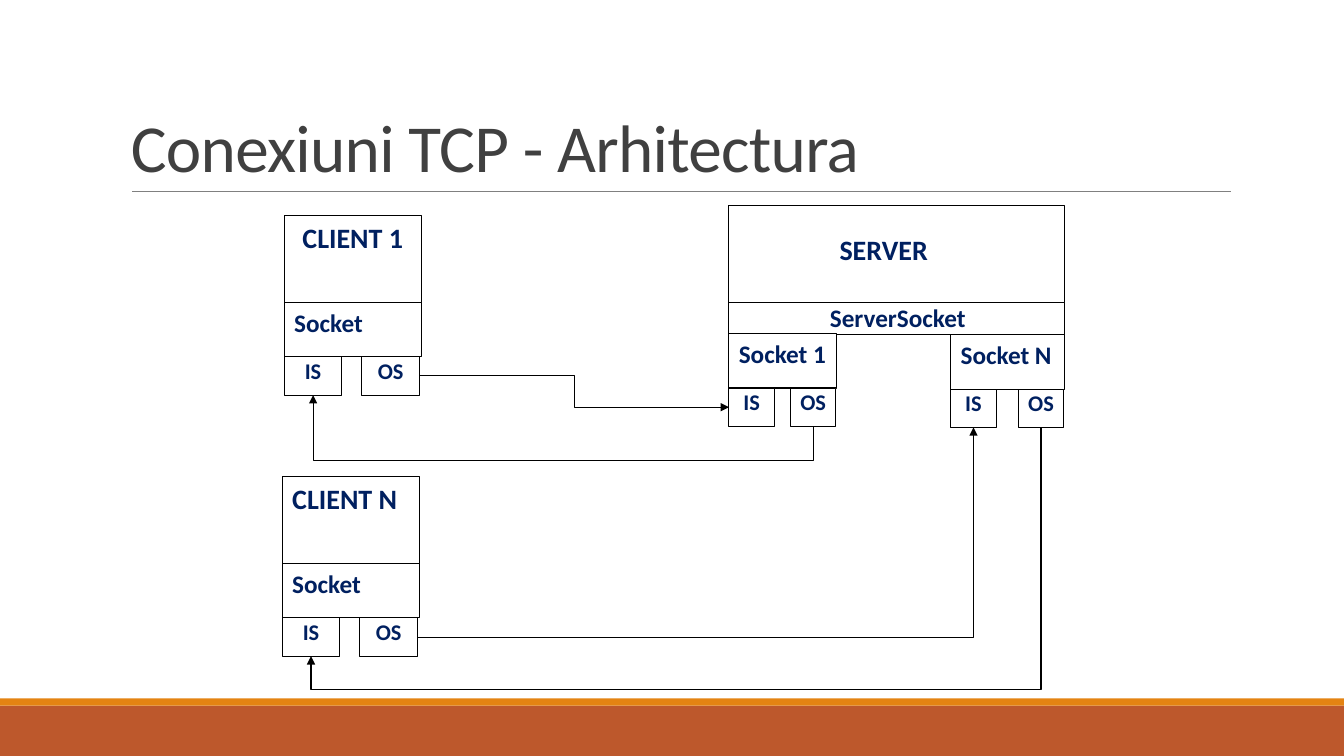
from dataclasses import dataclass

from lxml import etree
from pptx import Presentation
from pptx.dml.color import RGBColor
from pptx.enum.shapes import MSO_CONNECTOR, MSO_SHAPE
from pptx.enum.text import MSO_ANCHOR, PP_ALIGN
from pptx.oxml.ns import qn
from pptx.shapes.autoshape import Shape
from pptx.shapes.connector import Connector
from pptx.slide import Slide
from pptx.util import Inches, Pt

RECTANGLE = MSO_SHAPE.RECTANGLE
STRAIGHT, ELBOW = MSO_CONNECTOR.STRAIGHT, MSO_CONNECTOR.ELBOW
LEFT, CENTER = PP_ALIGN.LEFT, PP_ALIGN.CENTER
TOP, BOTTOM = MSO_ANCHOR.TOP, MSO_ANCHOR.BOTTOM
LEFT_SIDE, BOTTOM_SIDE, RIGHT_SIDE = 1, 2, 3

COLORS = {
    "white": "FFFFFF", "black": "000000", "navy": "002060", "title": "404040",
    "rule": "808080", "rust": "BD582C", "orange": "E48312",
}
FONT = "Calibri"
PORT_HEIGHT = 0.38
SOCKET_HEIGHT = 0.54
ROOMY = (0.1, 0.05, 0.1, 0.05)
LOOSE_RIGHT = (0.1, 0.05, 0, 0.05)
TIGHT = (0, 0, 0, 0)


@dataclass(frozen=True)
class Box:
    left: float
    top: float
    width: float
    height: float
    text: str = ""
    size: int = 18
    align: PP_ALIGN = CENTER
    insets: tuple[float, float, float, float] = ROOMY
    fill: str = "white"
    line: str | None = "black"


@dataclass(frozen=True)
class Socket:
    """A socket box with its input (IS) and output (OS) stream ports below."""
    name: str
    label: str
    left: float
    top: float
    width: float
    port_width: float
    output_offset: float


@dataclass(frozen=True)
class Link:
    source: str
    source_side: int
    target: str
    target_side: int
    bend_y: float | None = None


FOOTER = [
    Box(0, 7, 13.33, 0.5, fill="rust", line=None),
    Box(0, 6.93, 13.33, 0.07, fill="orange", line=None),
]
HOSTS = [
    Box(7.23, 2.04, 3.33, 0.96),
    Box(7.23, 3, 3.33, 0.32, "ServerSocket", insets=(0.02, 0, 0, 0)),
    Box(7.79, 2.26, 1.95, 0.38, "SERVER", 20, line="white"),
    Box(2.82, 2.14, 1.36, 0.86, "CLIENT 1", 20),
    Box(2.8, 4.73, 1.36, 0.86, "CLIENT N", 20, LEFT, LOOSE_RIGHT),
]
SOCKETS = [
    Socket("server 1", "Socket 1", 7.23, 3.31, 1.07, 0.45, 0.61),
    Socket("server N", "Socket N", 9.43, 3.32, 1.13, 0.45, 0.67),
    Socket("client 1", "Socket", 2.82, 3, 1.36, 0.57, 0.77),
    Socket("client N", "Socket", 2.8, 5.59, 1.36, 0.57, 0.77),
]
LINKS = [
    Link("client 1 OS", RIGHT_SIDE, "server 1 IS", LEFT_SIDE),
    Link("server 1 OS", BOTTOM_SIDE, "client 1 IS", BOTTOM_SIDE, 4.57),
    Link("server N OS", BOTTOM_SIDE, "client N IS", BOTTOM_SIDE, 6.84),
    Link("client N OS", RIGHT_SIDE, "server N IS", BOTTOM_SIDE),
]


def color(name: str) -> RGBColor:
    return RGBColor.from_string(COLORS[name])


def write_text(shape: Shape, text: str, size: int, font_color: str, align: PP_ALIGN,
               anchor: MSO_ANCHOR, insets: tuple[float, ...], bold: bool = True) -> None:
    frame = shape.text_frame
    frame.word_wrap = True
    frame.vertical_anchor = anchor
    for side, inset in zip(("left", "top", "right", "bottom"), insets):
        setattr(frame, f"margin_{side}", Inches(inset))
    para = frame.paragraphs[0]
    para.alignment = align
    span = para.add_run()
    span.text = text
    for name, value in {"name": FONT, "size": Pt(size), "bold": bold}.items():
        setattr(span.font, name, value)
    span.font.color.rgb = color(font_color)


def draw_box(page: Slide, box: Box) -> Shape:
    lengths = (box.left, box.top, box.width, box.height)
    shape = page.shapes.add_shape(RECTANGLE, *map(Inches, lengths))
    shape.shadow.inherit = False
    shape.fill.solid()
    shape.fill.fore_color.rgb = color(box.fill)
    if box.line:
        shape.line.color.rgb = color(box.line)
        shape.line.width = Pt(0.75)
    else:
        shape.line.fill.background()
    if box.text:
        write_text(shape, box.text, box.size, "navy", box.align, TOP, box.insets)
    return shape


def draw_socket(page: Slide, socket: Socket) -> dict[str, Shape]:
    """Draw a socket and return its two ports by name."""
    draw_box(page, Box(socket.left, socket.top, socket.width, SOCKET_HEIGHT,
                       socket.label, align=LEFT, insets=LOOSE_RIGHT))
    port_top = socket.top + SOCKET_HEIGHT
    return {
        f"{socket.name} {label}": draw_box(
            page, Box(socket.left + offset, port_top, socket.port_width, PORT_HEIGHT,
                      label, 16, insets=TIGHT))
        for label, offset in (("IS", 0), ("OS", socket.output_offset))
    }


def style_line(line: Connector, name: str, width: float) -> None:
    line.line.color.rgb = color(name)
    line.line.width = Pt(width)
    etree.SubElement(line._element.spPr, qn("a:effectLst"))


def bend_below(line: Connector, bend_y: float) -> None:
    """Turn an elbow into a U whose middle part runs at bend_y."""
    start_x, start_y, end_x, end_y = line.begin_x, line.begin_y, line.end_x, line.end_y
    rise, run = abs(end_y - start_y), abs(end_x - start_x)
    line.left = (start_x + end_x - rise) // 2
    line.top = (start_y + end_y - run) // 2
    line.width, line.height = rise, run
    goes_down = end_y > start_y
    frame = line._element.spPr.find(qn("a:xfrm"))
    frame.set("rot", str((90 if goes_down else 270) * 60000))
    frame.set("flipH", "0")
    frame.set("flipV", "0" if goes_down else "1")
    ratio = (Inches(bend_y) - start_y) / (end_y - start_y)
    guides = line._element.spPr.find(qn("a:prstGeom")).find(qn("a:avLst"))
    etree.SubElement(guides, qn("a:gd"), name="adj1", fmla=f"val {round(ratio * 100000)}")


def draw_link(page: Slide, link: Link, ports: dict[str, Shape]) -> None:
    line = page.shapes.add_connector(ELBOW, 0, 0, 0, 0)
    line.begin_connect(ports[link.source], link.source_side)
    line.end_connect(ports[link.target], link.target_side)
    if link.bend_y is not None:
        bend_below(line, link.bend_y)
    elif link.target_side == BOTTOM_SIDE:
        line._element.spPr.find(qn("a:prstGeom")).set("prst", "bentConnector2")
    style_line(line, "black", 0.75)
    etree.SubElement(line.line._get_or_add_ln(), qn("a:tailEnd"), type="triangle")


def draw_title(page: Slide) -> None:
    rule = page.shapes.add_connector(STRAIGHT, *map(Inches, (1.31, 1.9, 12.21, 1.9)))
    style_line(rule, "rule", 0.5)
    title = page.shapes.add_textbox(*map(Inches, (1.2, 0.31, 11, 1.59)))
    write_text(title, "Conexiuni TCP - Arhitectura", 48, "title", LEFT, BOTTOM, ROOMY, False)
    para = title.text_frame.paragraphs[0]
    para.line_spacing = 0.85
    para.runs[0]._r.get_or_add_rPr().set("spc", "-50")


def main() -> None:
    deck = Presentation()
    deck.slide_width, deck.slide_height = Inches(13.33), Inches(7.5)
    page = deck.slides.add_slide(deck.slide_layouts[6])
    for band in FOOTER:
        draw_box(page, band)
    draw_title(page)
    for host in HOSTS:
        draw_box(page, host)
    ports: dict[str, Shape] = {}
    for socket in SOCKETS:
        ports.update(draw_socket(page, socket))
    for link in LINKS:
        draw_link(page, link, ports)
    deck.save("out.pptx")


if __name__ == "__main__":
    main()
